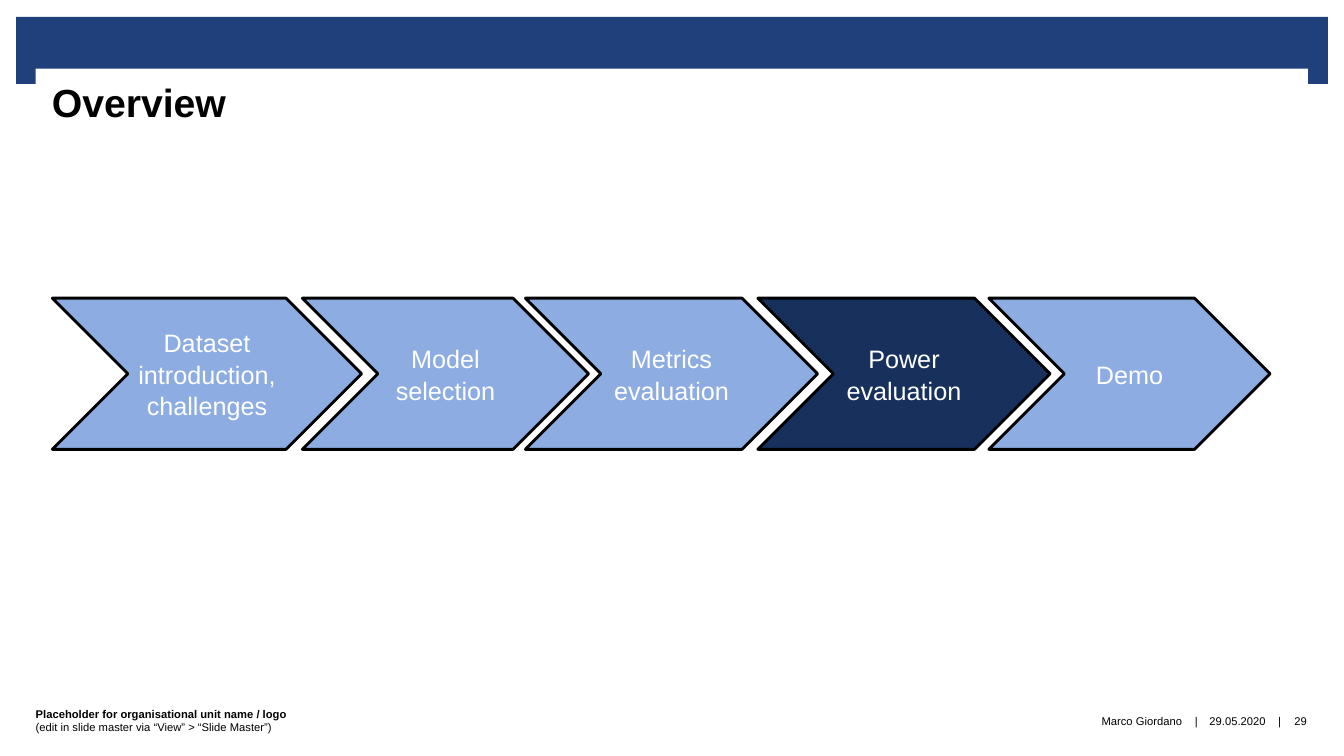
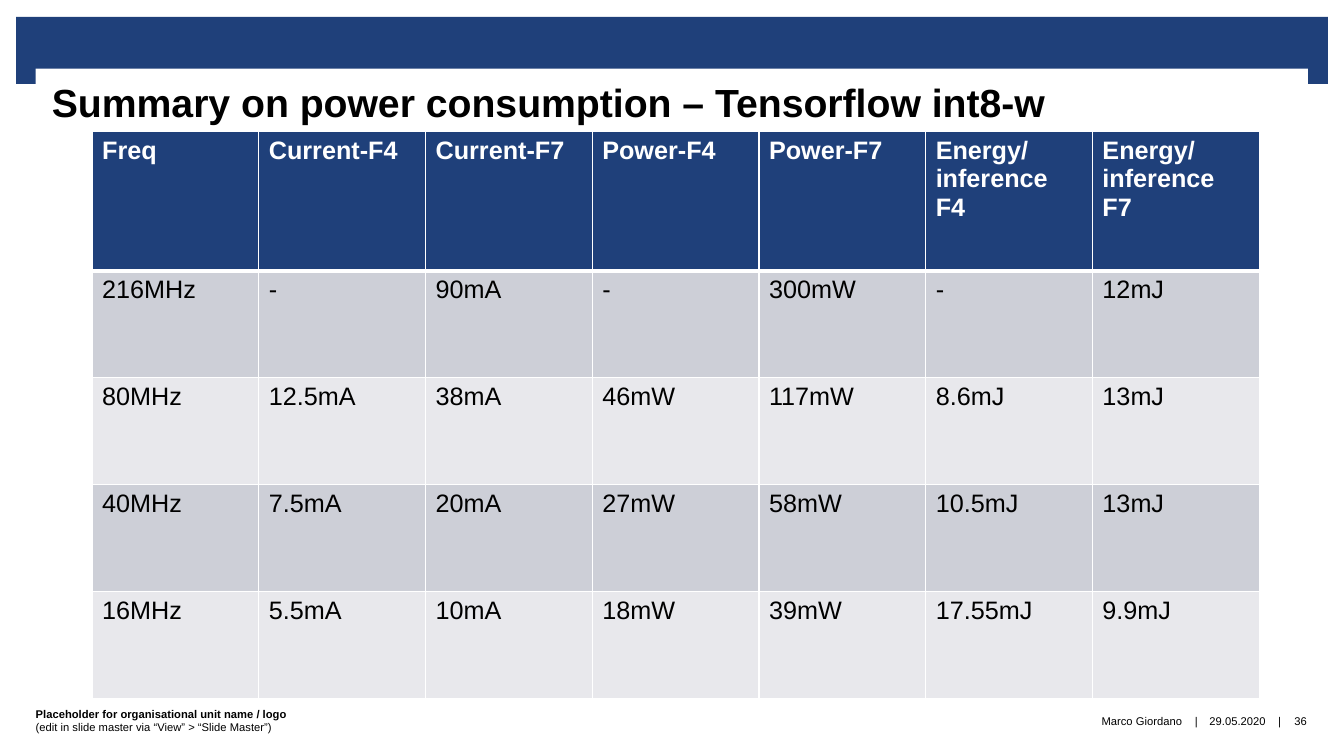
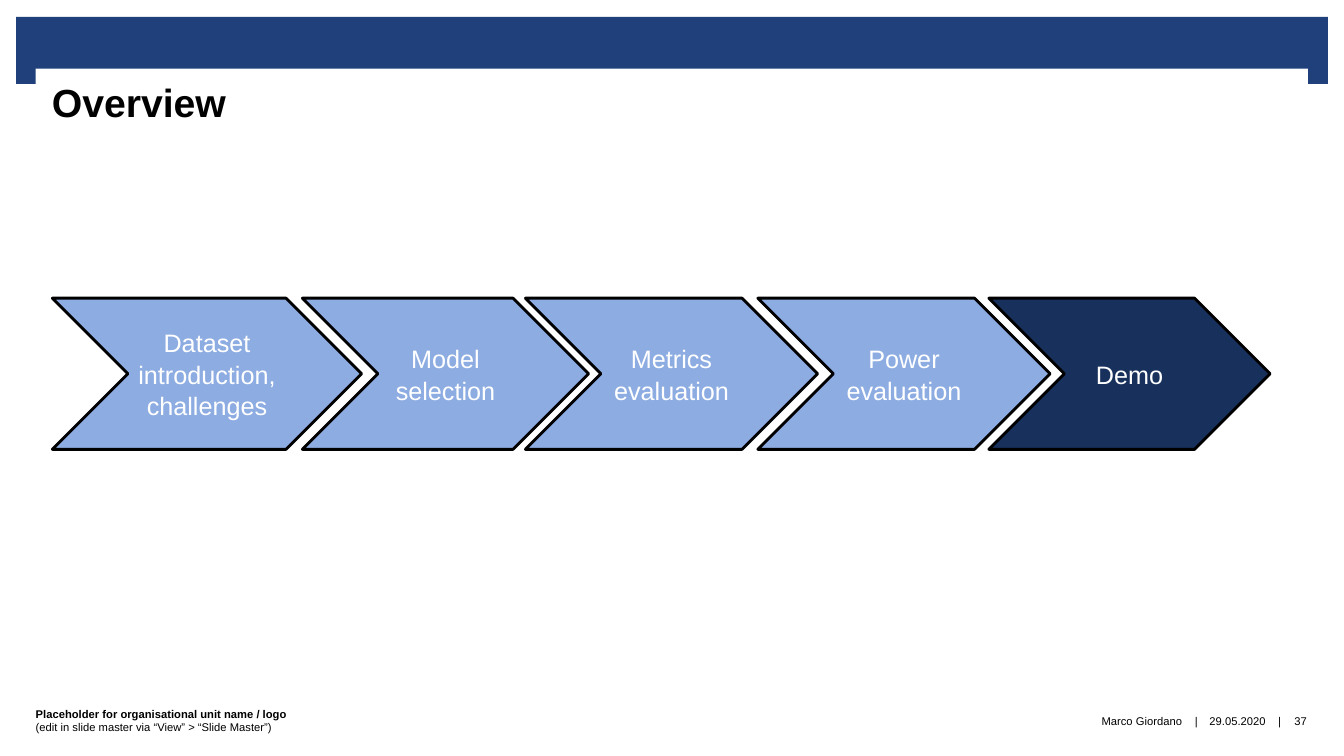
from lxml import etree
from pptx import Presentation
from pptx.dml.color import RGBColor
from pptx.enum import shapes, text
from pptx.oxml import ns
from pptx.util import Pt

FONT = "Arial"
COLORS = {
    "band": "1F407A",
    "step": "8DACE2",
    "current": "17305C",
    "odd_row": "CDCFD7",
    "even_row": "E8E8EC",
    "white": "FFFFFF",
    "black": "000000",
}
LEFT, CENTER, RIGHT = text.PP_ALIGN.LEFT, text.PP_ALIGN.CENTER, text.PP_ALIGN.RIGHT
TOP, MIDDLE = text.MSO_ANCHOR.TOP, text.MSO_ANCHOR.MIDDLE

# Label, left and width of each step
STEPS = [
    ("Dataset introduction, challenges", 37.4, 221),
    ("Model selection", 216, 204.5),
    ("Metrics evaluation", 375.3, 208.8),
    ("Power evaluation", 541.3, 208.8),
    ("Demo", 706.3, 201),
]
POWER_ROWS = [
    ["Freq", "Current-F4", "Current-F7", "Power-F4", "Power-F7",
     "Energy/inference\nF4", "Energy/inference\nF7"],
    ["216MHz", "-", "90mA", "-", "300mW", "-", "12mJ"],
    ["80MHz", "12.5mA", "38mA", "46mW", "117mW", "8.6mJ", "13mJ"],
    ["40MHz", "7.5mA", "20mA", "27mW", "58mW", "10.5mJ", "13mJ"],
    ["16MHz", "5.5mA", "10mA", "18mW", "39mW", "17.55mJ", "9.9mJ"],
]


def rgb(name):
    return RGBColor.from_string(COLORS[name])


def paint(target, color):
    target.fill.solid()
    target.fill.fore_color.rgb = rgb(color)


def style(paragraph, size, color="black", bold=False, align=LEFT, spacing=None):
    paragraph.alignment = align
    paragraph.line_spacing = spacing
    font = paragraph.font
    font.name, font.size, font.bold = FONT, Pt(size), bold
    font.color.rgb = rgb(color)


def set_frame(frame, insets, anchor, wrap=True):
    frame.margin_left, frame.margin_top, frame.margin_right, frame.margin_bottom = map(Pt, insets)
    frame.vertical_anchor = anchor
    frame.word_wrap = wrap
    frame.auto_size = text.MSO_AUTO_SIZE.NONE


def add_block(slide, kind, left, top, width, height, color):
    block = slide.shapes.add_shape(kind, Pt(left), Pt(top), Pt(width), Pt(height))
    block.shadow.inherit = False
    paint(block, color)
    block.line.fill.background()
    return block


def add_note(slide, left, width, words="", align=CENTER, insets=(0, 0, 0, 0), wrap=False):
    """Small footer text; returns its paragraph."""
    box = slide.shapes.add_textbox(Pt(left), Pt(496.5), Pt(width), Pt(36.5))
    set_frame(box.text_frame, insets, MIDDLE, wrap)
    paragraph = box.text_frame.paragraphs[0]
    paragraph.text = words
    style(paragraph, 8, align=align)
    return paragraph


def add_footer(slide, number):
    unit = add_note(slide, 25.5, 454, align=LEFT, insets=(0, 3.6, 0, 3.6), wrap=True)
    name = unit.add_run()
    name.text = "Placeholder for organisational unit name / logo"
    name.font.bold = True
    unit.add_line_break()
    unit.add_run().text = "(edit in slide master via “View” > “Slide Master”)"

    add_note(slide, 479.5, 365, "Marco Giordano", RIGHT)
    add_note(slide, 860, 48, "29.05.2020")
    add_note(slide, 915, 28, str(number))
    for left in (849, 908.6):
        add_note(slide, left, 11, "|", insets=(3, 3.6, 3, 3.6))


def start_slide(deck, heading, number):
    """Slide with title, top band and footer."""
    slide = deck.slides.add_slide(deck.slide_layouts[5])
    title = slide.shapes.title
    title.left, title.top, title.width, title.height = Pt(25.5), Pt(49), Pt(908.5), Pt(76)
    paint(title, "white")
    set_frame(title.text_frame, (11.5, 4.3, 11.5, 0), TOP)
    title.text_frame.text = heading
    style(title.text_frame.paragraphs[0], 28, bold=True, spacing=1.08)

    # Band with a tab hanging at each end
    for left, top, width, height in ((11.5, 12, 937, 37), (11.5, 47, 14, 13), (934.5, 47, 14, 13)):
        add_block(slide, shapes.MSO_SHAPE.RECTANGLE, left, top, width, height, "band")
    add_footer(slide, number)
    return slide


def add_overview(deck, number, current):
    slide = start_slide(deck, "Overview", number)
    for label, left, width in STEPS:
        color = "current" if label == current else "step"
        step = add_block(slide, shapes.MSO_SHAPE.CHEVRON, left, 213, width, 108, color)
        step.line.color.rgb = rgb("black")
        step.line.width = Pt(2)
        set_frame(step.text_frame, (7.2, 3.6, 7.2, 3.6), MIDDLE)
        step.text_frame.text = label
        style(step.text_frame.paragraphs[0], 18, "white", align=CENTER, spacing=1.04)


def set_borders(cell, widths):
    """White borders; widths are left, right, top, bottom."""
    properties = cell._tc.get_or_add_tcPr()
    for side, width in zip("LRTB", widths):
        line = etree.SubElement(properties, ns.qn(f"a:ln{side}"), w=str(Pt(width)))
        fill = etree.SubElement(line, ns.qn("a:solidFill"))
        etree.SubElement(fill, ns.qn("a:srgbClr"), val=COLORS["white"])


def add_power_table(slide, rows):
    header_height, row_height, column_width = 99.4, 76.3, 119.1
    height = header_height + row_height * (len(rows) - 1)
    table = slide.shapes.add_table(
        len(rows), len(rows[0]), Pt(65.8), Pt(94.2), Pt(column_width * len(rows[0])), Pt(height)
    ).table
    for column in table.columns:
        column.width = Pt(column_width)
    for r, values in enumerate(rows):
        header = r == 0
        table.rows[r].height = Pt(header_height if header else row_height)
        fill = "band" if header else "odd_row" if r % 2 else "even_row"
        for c, value in enumerate(values):
            cell = table.cell(r, c)
            set_borders(cell, (1, 1, 3 if r == 1 else 1, 3 if header else 1))
            paint(cell, fill)
            cell.text_frame.text = value
            for paragraph in cell.text_frame.paragraphs:
                style(paragraph, 18, "white" if header else "black", bold=header)


def main():
    deck = Presentation()
    deck.slide_width, deck.slide_height = Pt(960), Pt(540)

    add_overview(deck, 29, "Power evaluation")
    summary = start_slide(deck, "Summary on power consumption – Tensorflow int8-w", 36)
    add_power_table(summary, POWER_ROWS)
    add_overview(deck, 37, "Demo")

    deck.save("out.pptx")


if __name__ == "__main__":
    main()
